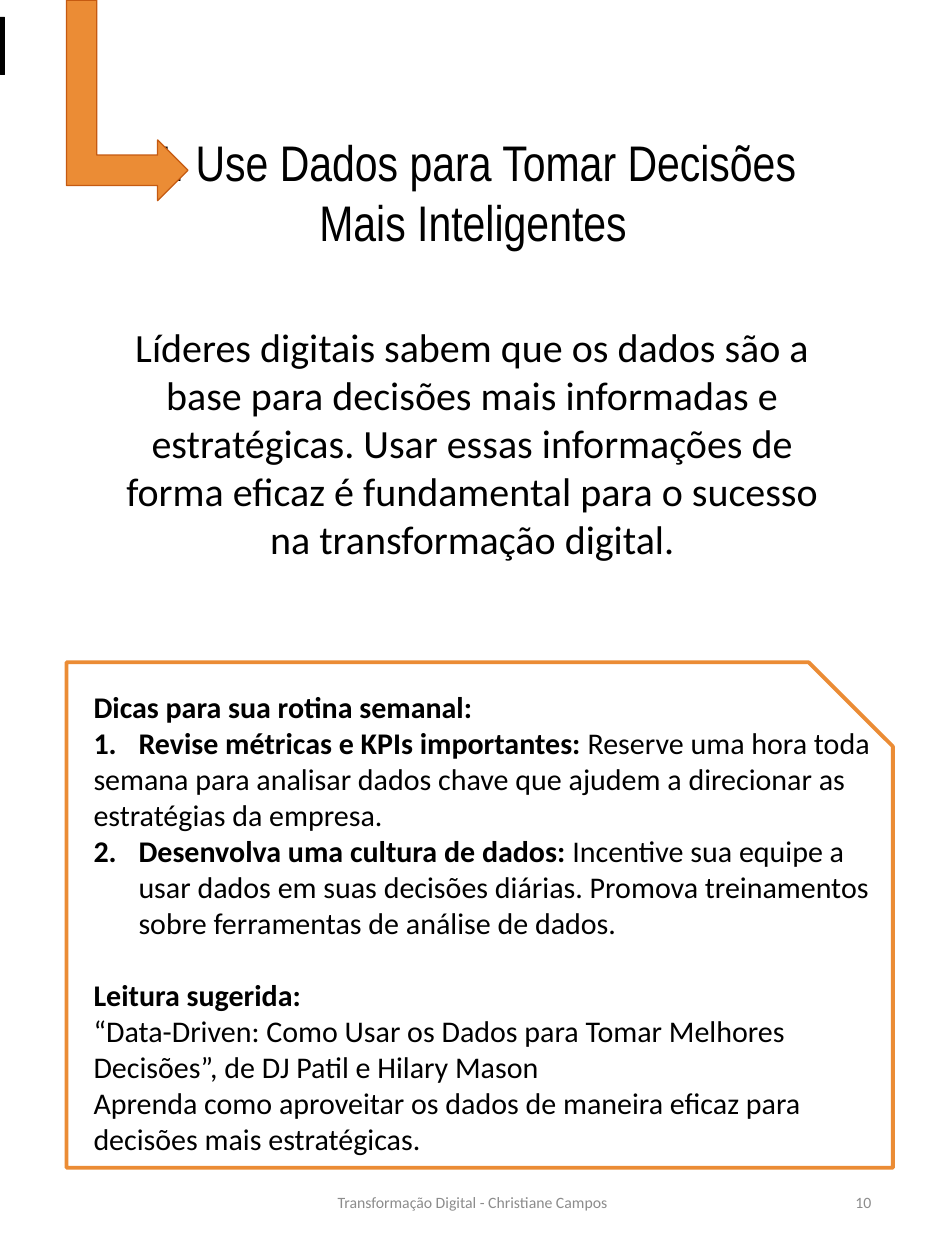
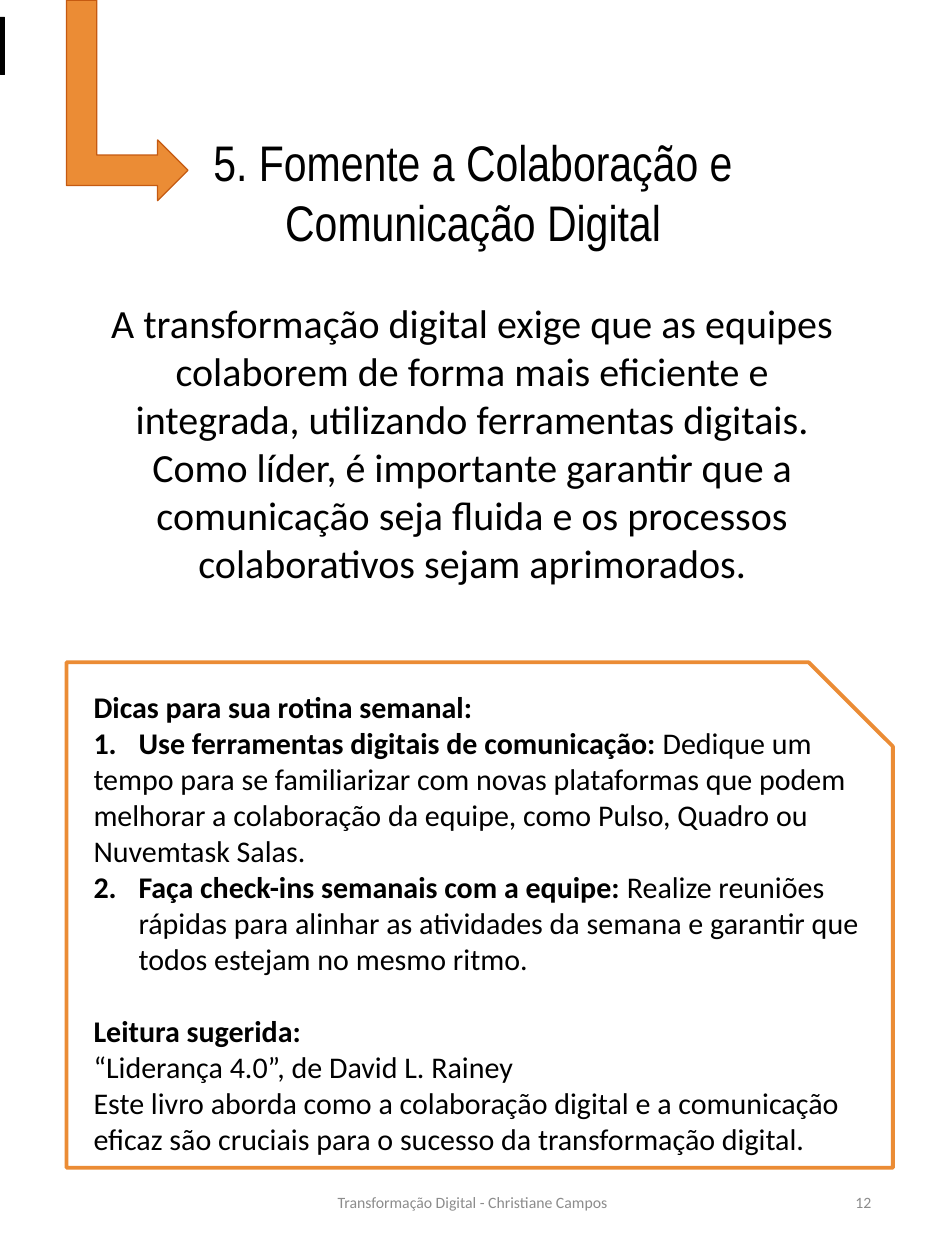
import pptx
import pptx.dml.color
import pptx.enum.shapes
import pptx.enum.text
import pptx.oxml
import pptx.util
from pptx.util import Cm

RGBColor = pptx.dml.color.RGBColor
ALIGN = pptx.enum.text.PP_ALIGN
ANCHOR = pptx.enum.text.MSO_ANCHOR
SHAPE = pptx.enum.shapes.MSO_SHAPE

BLACK = RGBColor(0x00, 0x00, 0x00)
ORANGE = RGBColor(0xEB, 0x8C, 0x35)
DARK_ORANGE = RGBColor(0xC5, 0x5A, 0x11)
GREY = RGBColor(0x8C, 0x8C, 0x8C)

BODY_FONT = "Calibri"
TITLE_FONT = "Arial Narrow"
TIP_SIZE = 24
FOOTER_SIZE = 12.6

FOOTER = "Transformação Digital - Christiane Campos"
TIPS_HEADING = "Dicas para sua rotina semanal:"
READING_HEADING = "Leitura sugerida:"

PAGES = [
    {
        "number": "10",
        "title": "4. Use Dados para Tomar Decisões Mais Inteligentes",
        "intro": "Líderes digitais sabem que os dados são a base para decisões mais "
                 "informadas e estratégicas. Usar essas informações de forma eficaz é "
                 "fundamental para o sucesso na transformação digital.",
        "intro_top": 8.94,
        "intro_height": 7.26,
        "tips": [
            ("Revise métricas e KPIs importantes: ",
             "Reserve uma hora toda semana para analisar dados chave que ajudem a "
             "direcionar as estratégias da empresa."),
            ("Desenvolva uma cultura de dados: ",
             "Incentive sua equipe a usar dados em suas decisões diárias. Promova "
             "treinamentos sobre ferramentas de análise de dados."),
        ],
        "reading": [
            "“Data-Driven: Como Usar os Dados para Tomar Melhores Decisões”, "
            "de DJ Patil e Hilary Mason",
            "Aprenda como aproveitar os dados de maneira eficaz para decisões mais "
            "estratégicas.",
        ],
    },
    {
        "number": "12",
        "title": "5. Fomente a Colaboração e Comunicação Digital",
        "intro": "A transformação digital exige que as equipes colaborem de forma mais "
                 "eficiente e integrada, utilizando ferramentas digitais. Como líder, é "
                 "importante garantir que a comunicação seja fluida e os processos "
                 "colaborativos sejam aprimorados.",
        "intro_top": 8.26,
        "intro_height": 8.61,
        "tips": [
            ("Use ferramentas digitais de comunicação: ",
             "Dedique um tempo para se familiarizar com novas plataformas que podem "
             "melhorar a colaboração da equipe, como Pulso, Quadro ou Nuvemtask Salas."),
            ("Faça check-ins semanais com a equipe: ",
             "Realize reuniões rápidas para alinhar as atividades da semana e garantir "
             "que todos estejam no mesmo ritmo."),
        ],
        "reading": [
            "“Liderança 4.0”, de David L. Rainey",
            "Este livro aborda como a colaboração digital e a comunicação eficaz são "
            "cruciais para o sucesso da transformação digital.",
        ],
    },
]


def add_box(slide, left, top, width, height, anchor=ANCHOR.TOP):
    box = slide.shapes.add_textbox(Cm(left), Cm(top), Cm(width), Cm(height))
    frame = box.text_frame
    frame.word_wrap = True
    frame.vertical_anchor = anchor
    return frame


def add_run(paragraph, text, size, font=BODY_FONT, color=BLACK, bold=False):
    run = paragraph.add_run()
    run.text = text
    run.font.size = pptx.util.Pt(size)
    run.font.name = font
    run.font.color.rgb = color
    run.font.bold = bold


def add_line_of_text(slide, place, text, size, align, anchor=ANCHOR.TOP, **style):
    frame = add_box(slide, *place, anchor=anchor)
    paragraph = frame.paragraphs[0]
    paragraph.alignment = align
    add_run(paragraph, text, size, **style)
    return frame


def add_figure(slide, kind, place, line_color, line_width, fill=None):
    shape = slide.shapes.add_shape(kind, *(Cm(length) for length in place))
    shape.shadow.inherit = False
    if fill is None:
        shape.fill.background()
    else:
        shape.fill.solid()
        shape.fill.fore_color.rgb = fill
    shape.line.color.rgb = line_color
    shape.line.width = pptx.util.Pt(line_width)
    return shape


def number_paragraph(paragraph, start):
    properties = paragraph._p.get_or_add_pPr()
    properties.set("marL", str(Cm(1.27)))
    properties.set("indent", str(-Cm(1.27)))
    properties.append(pptx.oxml.parse_xml(
        '<a:buFont xmlns:a="http://schemas.openxmlformats.org/drawingml/2006/main" '
        'typeface="+mj-lt"/>'))
    properties.append(pptx.oxml.parse_xml(
        '<a:buAutoNum xmlns:a="http://schemas.openxmlformats.org/drawingml/2006/main" '
        f'type="arabicPeriod" startAt="{start}"/>'))


def add_tips(slide, page):
    frame = add_box(slide, 2.39, 19.3, 22.81, 14.63)
    add_run(frame.paragraphs[0], TIPS_HEADING, TIP_SIZE, bold=True)
    for position, (lead, detail) in enumerate(page["tips"], start=1):
        paragraph = frame.add_paragraph()
        if position == 1:
            lead = f"{position}.\t{lead}"
        else:
            number_paragraph(paragraph, position)
        add_run(paragraph, lead, TIP_SIZE, bold=True)
        add_run(paragraph, detail, TIP_SIZE)
    heading = frame.add_paragraph()
    heading.space_before = pptx.util.Pt(1.2 * TIP_SIZE)
    add_run(heading, READING_HEADING, TIP_SIZE, bold=True)
    for sentence in page["reading"]:
        add_run(frame.add_paragraph(), sentence, TIP_SIZE)


def add_footer(slide, number):
    for left, width, text, align in (
        (18.85, 5.99, number, ALIGN.RIGHT),
        (8.84, 8.99, FOOTER, ALIGN.CENTER),
    ):
        add_line_of_text(slide, (left, 32.97, width, 1.9), text, FOOTER_SIZE, align,
                         ANCHOR.MIDDLE, color=GREY)


def add_page(presentation, page):
    slide = presentation.slides.add_slide(presentation.slide_layouts[6])
    intro = add_line_of_text(
        slide, (2.82, page["intro_top"], 21.03, page["intro_height"]),
        page["intro"], 32, ALIGN.CENTER, ANCHOR.MIDDLE)
    intro.margin_bottom = Cm(0.28)
    add_figure(slide, SHAPE.RECTANGLE, (0, 0.48, 0.13, 1.63), BLACK, 0.75, BLACK)
    add_line_of_text(slide, (3.61, 3.58, 19.48, 3.68), page["title"], 40,
                     ALIGN.CENTER, font=TITLE_FONT)
    add_tips(slide, page)
    arrow = add_figure(slide, SHAPE.BENT_UP_ARROW, (0.76, 1.12, 5.66, 3.43),
                       DARK_ORANGE, 1, ORANGE)
    arrow.rotation = 90
    add_footer(slide, page["number"])
    add_figure(slide, SHAPE.SNIP_1_RECTANGLE, (1.88, 18.69, 23.32, 14.27), ORANGE, 3)


def main():
    presentation = pptx.Presentation()
    presentation.slide_width = Cm(26.67)
    presentation.slide_height = Cm(35.56)
    for page in PAGES:
        add_page(presentation, page)
    presentation.save("out.pptx")


if __name__ == "__main__":
    main()
